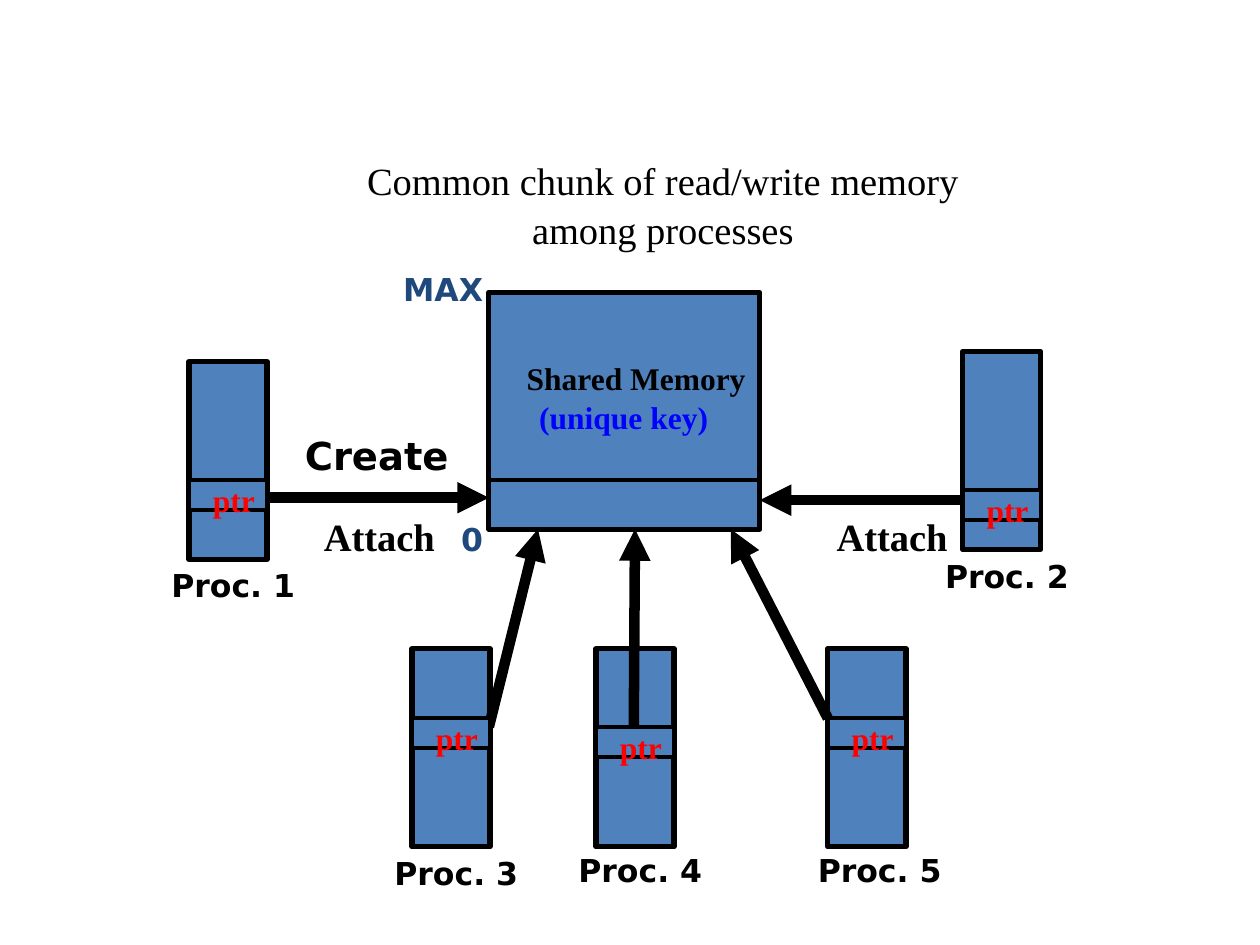
"""Build a slide showing five processes attached to one shared memory segment."""
from lxml import etree
from pptx import Presentation
from pptx.dml.color import RGBColor
from pptx.enum.shapes import MSO_CONNECTOR, MSO_SHAPE
from pptx.enum.text import MSO_ANCHOR, MSO_AUTO_SIZE, PP_ALIGN
from pptx.oxml.ns import qn
from pptx.util import Inches, Pt

COLORS = {"black": "000000", "box": "4F81BD", "ptr": "FF0000",
          "key": "0000FF", "address": "1F497D"}
SERIF, SANS = "Times New Roman", "DejaVu Sans"

TITLE = ["Common chunk of read/write memory", "among processes"]
MEMORY = (3.88, 2.32, 2.15, 1.88)
DIVIDER_Y = 3.81
PROC_W, PROC_H, SLOT_H = 0.62, 1.57, 0.24
# name, left, top, pointer slot top, label top
PROCESSES = [
    ("Proc. 1", 1.5, 2.87, 3.81, 4.5),
    ("Proc. 2", 7.64, 2.79, 3.89, 4.43),
    ("Proc. 3", 3.27, 5.15, 5.7, 6.78),
    ("Proc. 4", 4.73, 5.15, 5.77, 6.76),
    ("Proc. 5", 6.57, 5.15, 5.7, 6.76),
]
ARROWS = [
    ((2.12, 3.95), (3.88, 3.95)),
    ((7.65, 3.97), (6.03, 3.97)),
    ((3.88, 5.77), (4.27, 4.2)),
    ((5.03, 5.77), (5.04, 4.2)),
    ((6.57, 5.7), (5.8, 4.2)),
]
LABELS = [
    ("Create", (2.42, 3.44, 1.14, 0.36), dict(size=22, font=SANS)),
    ("Attach", (2.57, 4.05, 0.71, 0.34), dict(size=22)),
    ("Attach", (6.64, 4.05, 0.71, 0.34), dict(size=22)),
    ("Shared Memory", (4.18, 2.83, 1.77, 0.29), {}),
    ("(unique key)", (4.28, 3.14, 1.36, 0.29), dict(color="key")),
    ("MAX", (3.2, 2.15, 0.64, 0.3), dict(font=SANS, color="address")),
    ("0", (3.66, 4.13, 0.18, 0.3), dict(font=SANS, color="address")),
]


def rgb(name):
    return RGBColor.from_string(COLORS[name])


def inches(values):
    return [Inches(v) for v in values]


def write(sp, lines, size=18, font=SERIF, color="black", bold=True,
          align=PP_ALIGN.LEFT, gap=0, wrap=False):
    tf = sp.text_frame
    tf.auto_size = MSO_AUTO_SIZE.NONE
    tf.word_wrap = wrap
    tf.vertical_anchor = MSO_ANCHOR.TOP
    tf.margin_left = tf.margin_right = tf.margin_bottom = 0
    tf.margin_top = Inches(0.01 if font == SANS else 0.02)
    for i, line in enumerate(lines):
        p = tf.paragraphs[0] if i == 0 else tf.add_paragraph()
        p.alignment = align
        p.space_before = Pt(gap if i else 0)
        p.line_spacing = 0.98 if font == SANS else 1.0
        r = p.add_run()
        r.text = line
        r.font.size, r.font.name, r.font.bold = Pt(size), font, bold
        r.font.color.rgb = rgb(color)


def label(text, at, **fmt):
    write(s.shapes.add_textbox(*inches(at)), [text], **fmt)


def box(at, width):
    sp = s.shapes.add_shape(MSO_SHAPE.RECTANGLE, *inches(at))
    sp.shadow.inherit = False
    sp.fill.solid()
    sp.fill.fore_color.rgb = rgb("box")
    sp.line.color.rgb = rgb("black")
    sp.line.width = Pt(width)


def line(start, end, width, arrow=False):
    c = s.shapes.add_connector(MSO_CONNECTOR.STRAIGHT, *inches(start + end))
    c.line.color.rgb = rgb("black")
    c.line.width = Pt(width)
    if arrow:
        etree.SubElement(c.line._get_or_add_ln(), qn("a:tailEnd"),
                         type="triangle", w="med", len="med")
    etree.SubElement(c._element.spPr, qn("a:effectLst"))


prs = Presentation()
prs.slide_width, prs.slide_height = Inches(10), Inches(7.5)
s = prs.slides.add_slide(prs.slide_layouts[5])

title = s.shapes.title
title.left, title.top, title.width, title.height = inches((2.4, 1.23, 5.72, 0.75))
write(title, TITLE, size=22, bold=False, align=PP_ALIGN.CENTER, gap=1.3, wrap=True)

for _, x, y, _, _ in PROCESSES:
    box((x, y, PROC_W, PROC_H), 3)
box(MEMORY, 3)
left, _, width, _ = MEMORY
line((left, DIVIDER_Y), (left + width, DIVIDER_Y), 2.2)

for start, end in ARROWS:
    line(start, end, 6, arrow=True)

for name, x, y, slot_y, label_y in PROCESSES:
    box((x, slot_y, PROC_W, SLOT_H), 2.2)
    label("ptr", (x + 0.19, slot_y - 0.01, 0.34, 0.29), color="ptr")
    label_x = x - (0.08 if name == "Proc. 5" else 0.14)
    label(name, (label_x, label_y, 0.99, 0.3), font=SANS)

for text, at, fmt in LABELS:
    label(text, at, **fmt)

prs.save("out.pptx")
